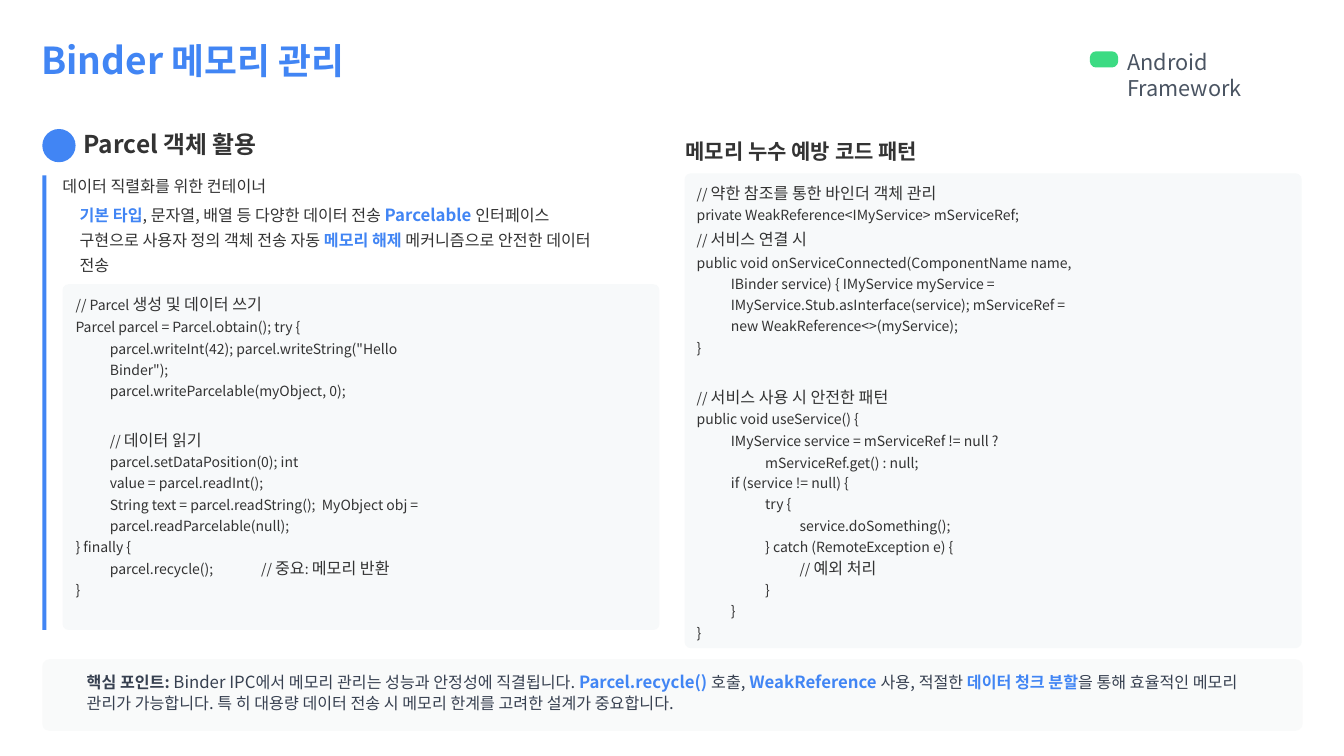
from collections import namedtuple
from dataclasses import dataclass

from lxml.etree import SubElement
from pptx import Presentation
from pptx.dml.color import RGBColor
from pptx.enum.shapes import MSO_SHAPE
from pptx.enum.text import MSO_ANCHOR, MSO_AUTO_SIZE, PP_ALIGN
from pptx.oxml.ns import qn
from pptx.util import Inches, Pt


@dataclass(frozen=True)
class Theme:
    font: str = "Noto Sans CJK KR"
    accent: str = "4185F4"
    ink: str = "333333"
    muted: str = "4A5462"
    slate: str = "374050"
    green: str = "3CDB83"
    code_panel: str = "F7F9FA"
    note_panel: str = "F9FAFA"
    title: float = 26.5
    title_korean: float = 25.5
    heading: float = 17.5
    heading_korean: float = 17
    subheading: float = 15
    label: float = 15.5
    body: float = 11.5
    body_latin: float = 12
    code: float = 10


THEME = Theme()
Box = namedtuple("Box", "left top width height")


def inside(region, left, top, width, height):
    """Box placed relative to the corner of a region."""
    return Box(region.left + left, region.top + top, width, height)


def lengths(box):
    return [Inches(round(value, 2)) for value in box]


# Text
def write(paragraph, text, *, size=THEME.body, color=THEME.ink, bold=False):
    run = paragraph.add_run()
    run.text = text
    run.font.name = THEME.font
    run.font.size = Pt(size)
    run.font.bold = bold
    run.font.color.rgb = RGBColor.from_string(color)
    SubElement(run.font._element, qn("a:ea"), typeface=THEME.font)


def format_paragraph(paragraph, *, indent=0.01, hanging=0, right=0, tab=None,
                     before=0, spacing=None):
    properties = paragraph._p.get_or_add_pPr()
    properties.set("marL", str(Inches(indent)))
    properties.set("indent", str(Inches(-hanging)))
    properties.set("marR", str(Inches(right)))
    if tab:
        tabs = SubElement(properties, qn("a:tabLst"))
        SubElement(tabs, qn("a:tab"), pos=str(Inches(tab)), algn="l")
    paragraph.alignment = PP_ALIGN.LEFT
    paragraph.space_before = Pt(before)
    if spacing:
        paragraph.line_spacing = spacing


def prepare(frame, inset):
    frame.word_wrap = True
    frame.auto_size = MSO_AUTO_SIZE.NONE
    frame.vertical_anchor = MSO_ANCHOR.TOP
    frame.margin_left = frame.margin_right = frame.margin_bottom = 0
    frame.margin_top = Inches(inset)
    return frame


def add_text(slide, box, runs, inset=0.02, **layout):
    frame = prepare(slide.shapes.add_textbox(*lengths(box)).text_frame, inset)
    format_paragraph(frame.paragraphs[0], **layout)
    for text, style in runs:
        write(frame.paragraphs[0], text, **style)


def add_code(slide, box, lines):
    """Each line alternates code and Korean comment pieces, split at '|'."""
    frame = prepare(slide.shapes.add_textbox(*lengths(box)).text_frame, 0.05)
    for number, (text, layout) in enumerate(lines):
        paragraph = frame.add_paragraph() if number else frame.paragraphs[0]
        format_paragraph(paragraph, **layout)
        for position, piece in enumerate(text.split("|")):
            write(paragraph, piece, size=THEME.body if position % 2 else THEME.code)


# Shapes
def add_block(slide, kind, box, color, radius=None):
    block = slide.shapes.add_shape(kind, *lengths(box))
    block.shadow.inherit = False
    block.fill.solid()
    block.fill.fore_color.rgb = RGBColor.from_string(color)
    block.line.fill.background()
    if radius:
        block.adjustments[0] = radius / min(box.width, box.height)


# Header: title and topic label
def build_header(slide, region):
    title = slide.shapes.title
    title.left, title.top, title.width, title.height = lengths(
        inside(region, 0, 0, 5.95, 0.46))
    heading = prepare(title.text_frame, 0.02).paragraphs[0]
    format_paragraph(heading, before=1.1)
    write(heading, "Binder ", size=THEME.title, color=THEME.accent, bold=True)
    write(heading, "메모리 관리", size=THEME.title_korean, color=THEME.accent, bold=True)
    add_block(slide, MSO_SHAPE.ROUNDED_RECTANGLE,
              inside(region, 10.41, 0.16, 0.28, 0.16), THEME.green, 0.06)
    add_text(slide, inside(region, 10.77, 0.11, 1.77, 0.54),
             [("Android Framework", dict(size=THEME.label, color=THEME.muted))],
             before=1.2)


# Left column: Parcel usage
def build_parcel_column(slide, region):
    add_block(slide, MSO_SHAPE.RECTANGLE, inside(region, 0, 0.46, 0.04, 4.51), THEME.accent)
    add_block(slide, MSO_SHAPE.ROUNDED_RECTANGLE,
              inside(region, 0.2, 1.54, 5.92, 3.43), THEME.code_panel, 0.06)
    add_block(slide, MSO_SHAPE.OVAL, inside(region, 0, 0, 0.33, 0.33), THEME.accent)
    add_text(slide, inside(region, 0.4, -0.01, 2.43, 0.31), [
        ("Parcel ", dict(size=THEME.heading, bold=True)),
        ("객체 활용", dict(size=THEME.heading_korean, bold=True)),
    ], inset=0.01, before=1)
    add_text(slide, inside(region, 0.19, 0.45, 2.81, 0.21),
             [("데이터 직렬화를 위한 컨테이너", {})], before=1.4)
    strong = dict(color=THEME.accent, bold=True)
    add_text(slide, inside(region, 0.36, 0.69, 5.39, 0.49), [
        ("기본 타입", strong),
        (", 문자열, 배열 등 다양한 데이터 전송 ", {}),
        ("Parcelable ", dict(strong, size=THEME.body_latin)),
        ("인터페이스 구현으로 사용자 정의 객체 전송 자동 ", {}),
        ("메모리 해제 ", strong),
        ("메커니즘으로 안전한 데이터 전송", {}),
    ], inset=0.01, before=0.7, spacing=1.28, right=0.1)
    add_code(slide, inside(region, 0.32, 1.59, 3.43, 3.29), [
        ("// Parcel |생성 및 데이터 쓰기", dict(before=3.8)),
        ("Parcel parcel = Parcel.obtain(); try {", dict(before=0.7, spacing=Pt(15))),
        ('parcel.writeInt(42); parcel.writeString("Hello Binder");',
         dict(indent=0.35, before=0.8, spacing=Pt(15))),
        ("parcel.writeParcelable(myObject, 0);", dict(indent=0.35, before=2.8)),
        ("// |데이터 읽기 |parcel.setDataPosition(0); int value = parcel.readInt();",
         dict(indent=0.35, before=18.5, spacing=1.25, right=0.97)),
        ("String text = parcel.readString();  MyObject obj = parcel.readParcelable(null);",
         dict(indent=0.35, before=0.8, spacing=1.25)),
        ("} finally {", dict(before=3)),
        ("parcel.recycle();\t// |중요|: |메모리 반환", dict(indent=0.35, before=2.2, tab=1.97)),
        ("}", dict(before=2.7)),
    ])


# Right column: leak prevention pattern
def build_leak_column(slide, region):
    add_block(slide, MSO_SHAPE.ROUNDED_RECTANGLE,
              inside(region, 0, 0.37, 6.12, 4.71), THEME.code_panel, 0.06)
    add_text(slide, inside(region, 0, 0, 3.06, 0.27),
             [("메모리 누수 예방 코드 패턴", dict(size=THEME.subheading, bold=True))], before=1.2)
    add_code(slide, inside(region, 0.11, 0.42, 3.94, 4.84), [
        ("// |약한 참조를 통한 바인더 객체 관리", dict(before=3.8)),
        ("private WeakReference<IMyService> mServiceRef;", dict(before=2.7)),
        ("// |서비스 연결 시", dict(before=4.7)),
        ("public void onServiceConnected(ComponentName name, IBinder service) { "
         "IMyService myService = IMyService.Stub.asInterface(service); "
         "mServiceRef = new WeakReference<>(myService);",
         dict(indent=0.35, hanging=0.34, before=0.5, spacing=1.25, right=0.1)),
        ("}", dict(before=3.8)),
        ("// |서비스 사용 시 안전한 패턴", dict(before=22.1)),
        ("public void useService() {", dict(before=2.7)),
        ("IMyService service = mServiceRef != null ? mServiceRef.get() : null;",
         dict(indent=0.69, hanging=0.34, before=0.3, spacing=Pt(15.8))),
        ("if (service != null) {", dict(indent=0.35, before=1.8)),
        ("try {", dict(indent=0.69, before=3)),
        ("service.doSomething();", dict(indent=1.03, before=3.8)),
        ("} catch (RemoteException e) {", dict(indent=0.69, before=3)),
        ("// |예외 처리", dict(indent=1.03, before=2.2)),
        ("}", dict(indent=0.69, before=2.7)),
        ("}", dict(indent=0.35, before=3)),
        ("}", dict(before=3.8)),
    ])


# Footer: key point
def build_key_point(slide, region):
    add_block(slide, MSO_SHAPE.ROUNDED_RECTANGLE, region, THEME.note_panel, 0.07)
    korean = dict(color=THEME.slate)
    latin = dict(korean, size=THEME.body_latin)
    strong = dict(color=THEME.accent, bold=True)
    strong_latin = dict(strong, size=THEME.body_latin)
    add_text(slide, inside(region, 0.43, 0.11, 11.81, 0.42), [
        ("핵심 포인트: ", dict(korean, bold=True)),
        ("Binder IPC", latin),
        ("에서 메모리 관리는 성능과 안정성에 직결됩니다", korean),
        (". ", latin),
        ("Parcel.recycle() ", strong_latin),
        ("호출", korean),
        (", ", latin),
        ("WeakReference ", strong_latin),
        ("사용", korean),
        (", ", latin),
        ("적절한 ", korean),
        ("데이터 청크 분할", strong),
        ("을 통해 효율적인 메모리 관리가 가능합니다", korean),
        (". ", latin),
        ("특 히 대용량 데이터 전송 시 메모리 한계를 고려한 설계가 중요합니다", korean),
        (".", latin),
    ], inset=0.01, before=0.8, spacing=1.04)


def main():
    deck = Presentation()
    deck.slide_width, deck.slide_height = Inches(13.33), Inches(7.5)
    slide = deck.slides.add_slide(deck.slide_layouts[5])
    build_header(slide, Box(0.4, 0.35, 12.54, 0.65))
    build_parcel_column(slide, Box(0.42, 1.28, 6.12, 4.97))
    build_leak_column(slide, Box(6.79, 1.35, 6.12, 5.08))
    build_key_point(slide, Box(0.42, 6.54, 12.5, 0.71))
    deck.save("out.pptx")


if __name__ == "__main__":
    main()
